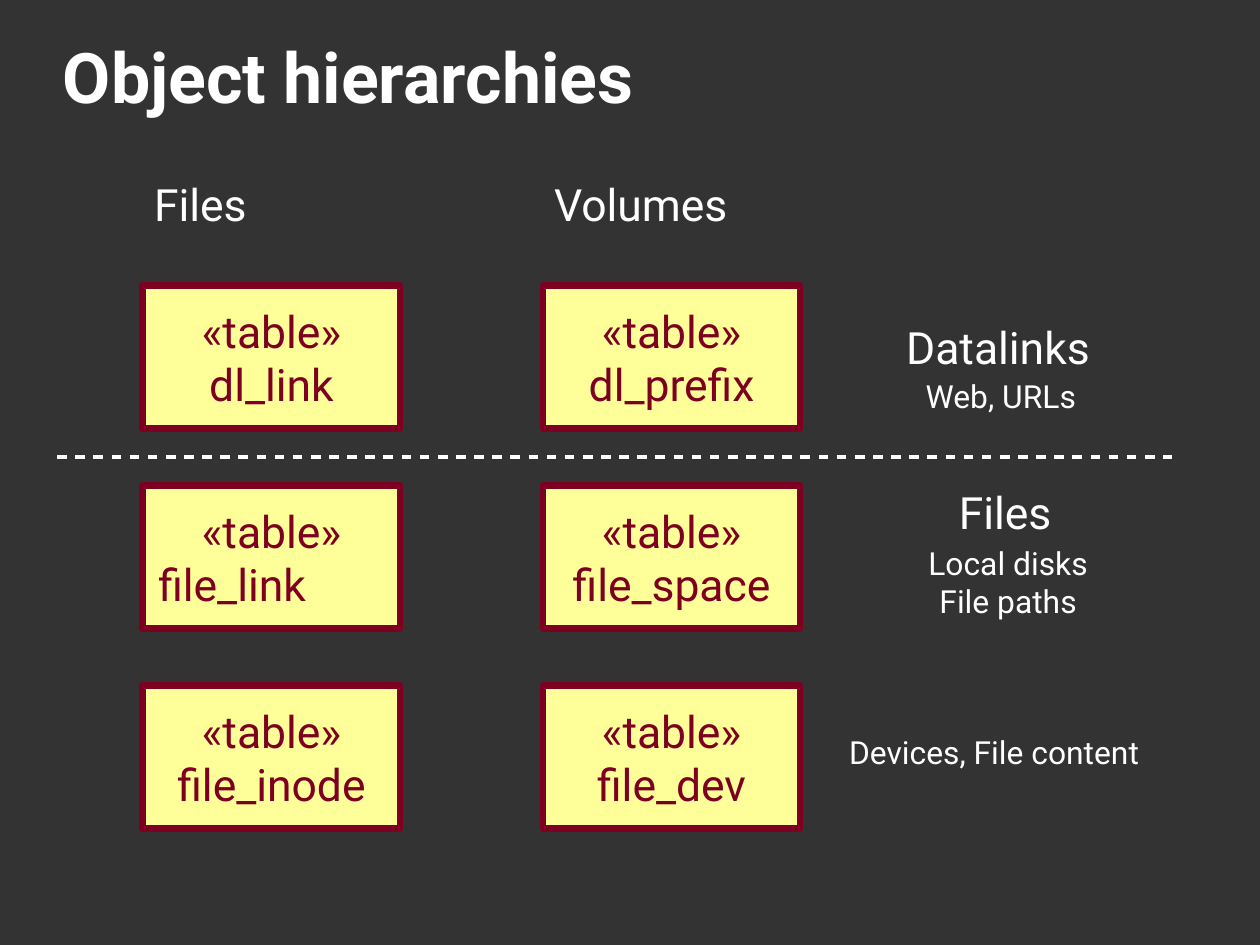
import pptx
import pptx.util
import pptx.dml.color
import pptx.enum.shapes
import pptx.enum.text
import pptx.oxml.ns
from lxml import etree
from pptx.util import Inches

COLORS = {"background": "333333", "text": "FFFFFF", "box": "FFFF99", "accent": "7E0021"}
FONT = "Roboto"
ALIGN = pptx.enum.text.PP_ALIGN
ANCHOR = pptx.enum.text.MSO_ANCHOR
CM_PER_INCH = 2.54

COLUMNS = [
    ("Files", 1.08, ["dl_link", "file_link\t", "file_inode"]),
    ("Volumes", 1.87, ["dl_prefix", "file_space", "file_dev"]),
]
COLUMN_LEFT, COLUMN_STEP = 1.25, 3.5
ROW_TOP, ROW_STEP = 2.5, 1.75

LAYER_LABELS = [
    (["Datalinks"], 7.83, 2.75, 2.01, 0.55, 28, ALIGN.LEFT),
    (["Web, URLs"], 8, 3.25, 1.69, 0.42, 20, ALIGN.LEFT),
    (["Files"], 8.29, 4.19, 1.08, 0.55, 28, ALIGN.LEFT),
    (["Local disks", "File paths"], 7.96, 4.71, 1.72, 0.75, 20, ALIGN.CENTER),
    (["Devices, File content"], 7.33, 6.36, 3.11, 0.42, 20, ALIGN.LEFT),
]


def color(name):
    return pptx.dml.color.RGBColor.from_string(COLORS[name])


def write_text(frame, lines, size, color_name, align, margins, bold=False):
    frame.word_wrap = True
    frame.margin_left = frame.margin_right = Inches(margins[0])
    frame.margin_top = frame.margin_bottom = Inches(margins[1])
    frame.text = "\n".join(lines)
    for para in frame.paragraphs:
        para.alignment = align
        for span in para.runs:
            span.font.name = FONT
            span.font.size = pptx.util.Pt(size)
            span.font.bold = bold
            span.font.color.rgb = color(color_name)


def add_tab_stop(para, position):
    qn = pptx.oxml.ns.qn
    stops = etree.SubElement(para._p.get_or_add_pPr(), qn("a:tabLst"))
    etree.SubElement(stops, qn("a:tab"), pos=str(Inches(position)), algn="l")


def add_title(page, text):
    box = page.shapes.add_textbox(Inches(0.55), Inches(0.31), Inches(9.92), Inches(0.71))
    write_text(box.text_frame, [text], 44, "text", ALIGN.LEFT, (0, 0), bold=True)
    box.text_frame.vertical_anchor = ANCHOR.MIDDLE


def add_label(page, lines, left, top, width, height, size, align):
    box = page.shapes.add_textbox(Inches(left), Inches(top), Inches(width), Inches(height))
    write_text(box.text_frame, lines, size, "text", align, (0.1, 0.05))


def add_table_box(page, name, left, top):
    box = page.shapes.add_shape(
        pptx.enum.shapes.MSO_SHAPE.RECTANGLE,
        Inches(left), Inches(top), Inches(2.25), Inches(1.25))
    box.shadow.inherit = False
    box.fill.solid()
    box.fill.fore_color.rgb = color("box")
    box.line.color.rgb = color("accent")
    box.line.width = pptx.util.Pt(4.31)
    write_text(box.text_frame, ["«table»\v" + name], 28, "accent", ALIGN.CENTER, (0.13, 0.08))
    box.text_frame.vertical_anchor = ANCHOR.MIDDLE
    if "\t" in name:
        add_tab_stop(box.text_frame.paragraphs[0], 1.98)


def add_divider(page, left, right, top):
    divider = page.shapes.add_connector(
        pptx.enum.shapes.MSO_CONNECTOR.STRAIGHT,
        Inches(left), Inches(top), Inches(right), Inches(top))
    divider.line.color.rgb = color("text")
    divider.line.width = pptx.util.Pt(2.89)
    qn = pptx.oxml.ns.qn
    properties = divider._element.spPr
    dashes = etree.SubElement(properties.find(qn("a:ln")), qn("a:custDash"))
    etree.SubElement(dashes, qn("a:ds"), d="210000", sp="185000")
    etree.SubElement(properties, qn("a:effectLst"))


def main():
    deck = pptx.Presentation()
    deck.slide_width = Inches(28 / CM_PER_INCH)
    deck.slide_height = Inches(21 / CM_PER_INCH)
    page = deck.slides.add_slide(deck.slide_layouts[6])
    page.background.fill.solid()
    page.background.fill.fore_color.rgb = color("background")

    add_title(page, "Object hierarchies")
    for column, (heading, width, tables) in enumerate(COLUMNS):
        left = COLUMN_LEFT + column * COLUMN_STEP
        add_label(page, [heading], left, 1.5, width, 0.55, 28, ALIGN.LEFT)
        for row, name in enumerate(tables):
            add_table_box(page, name, left, ROW_TOP + row * ROW_STEP)
    add_divider(page, 0.5, 10.25, 4)
    for label in LAYER_LABELS:
        add_label(page, *label)

    deck.save("out.pptx")


if __name__ == "__main__":
    main()
